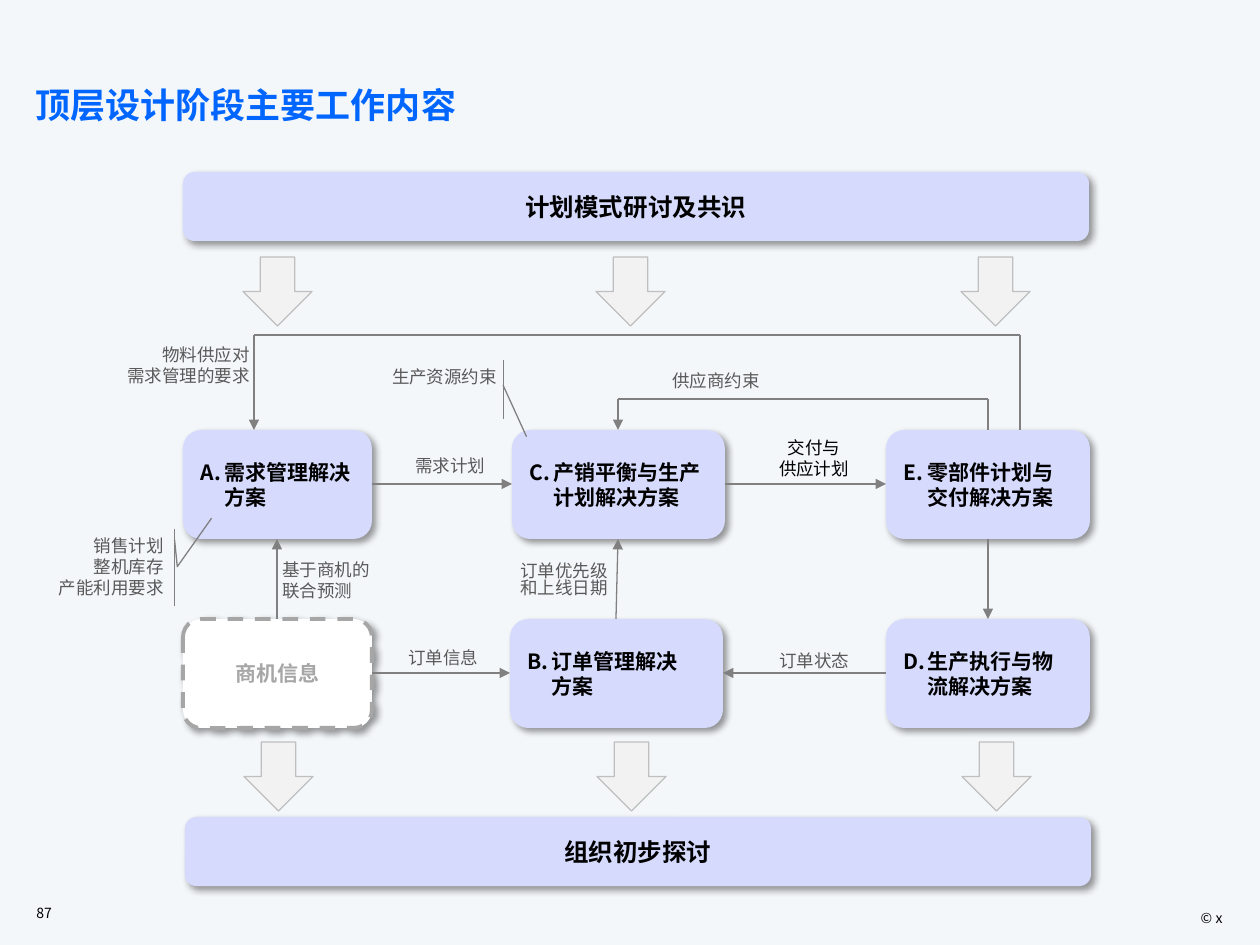
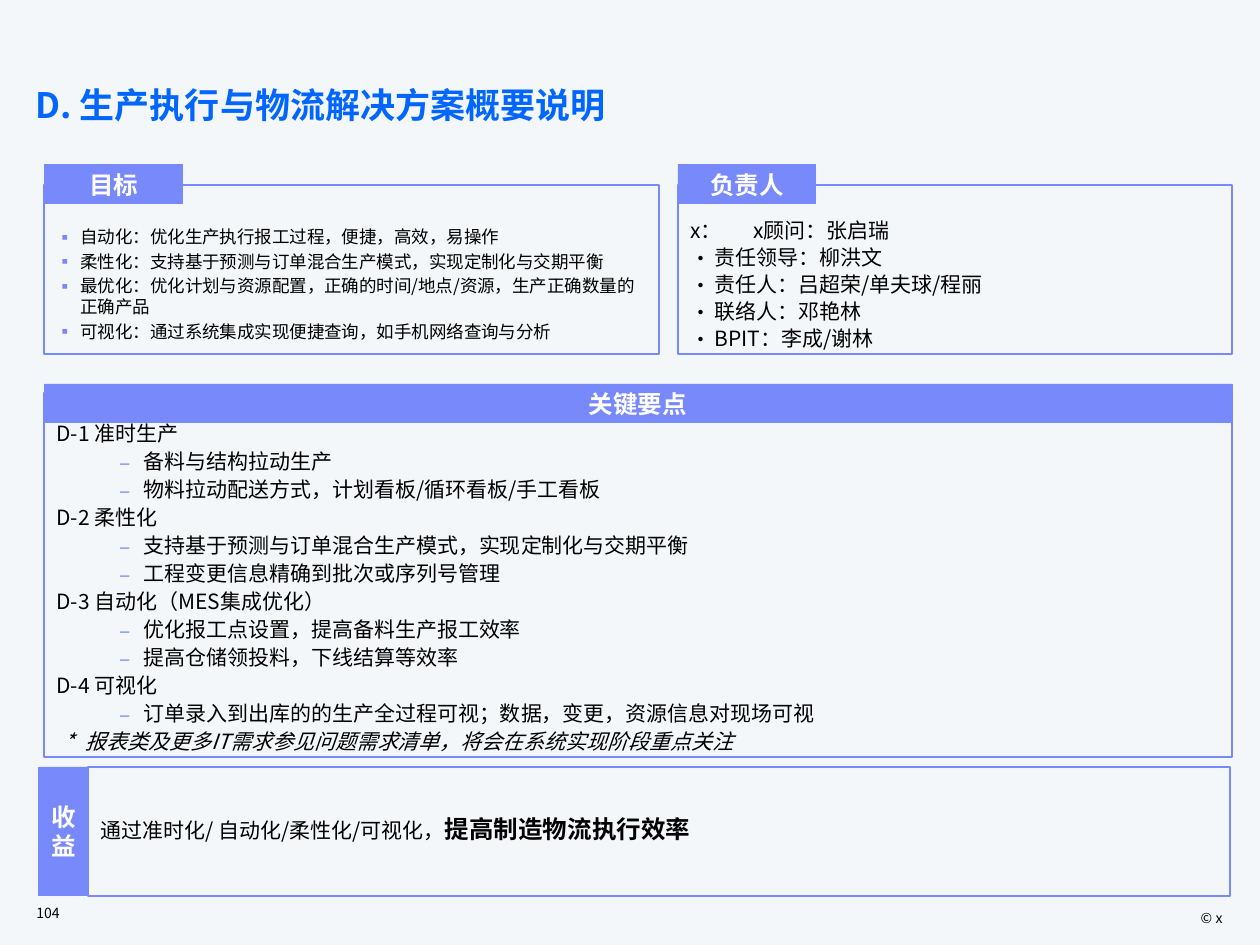
from itertools import pairwise

from lxml import etree
from pptx import Presentation
from pptx.dml.color import RGBColor
from pptx.enum.dml import MSO_LINE
from pptx.enum.shapes import MSO_CONNECTOR, MSO_SHAPE
from pptx.enum.text import MSO_ANCHOR as Anchor, PP_ALIGN as Align
from pptx.oxml.ns import qn
from pptx.util import Pt

PX = 914400 / 126
FONT = "Noto Sans CJK SC"

# Colours
PAGE = RGBColor(0xF4, 0xF7, 0xFA)
TITLE = RGBColor(0x00, 0x66, 0xFF)
BLACK = RGBColor(0x00, 0x00, 0x00)
WHITE = RGBColor(0xFF, 0xFF, 0xFF)
ACCENT = RGBColor(0x78, 0x89, 0xFB)
LAVENDER = RGBColor(0xD6, 0xDB, 0xFE)
LABEL = RGBColor(0x59, 0x59, 0x59)
WIRE = RGBColor(0x80, 0x80, 0x80)
MUTED = RGBColor(0xA6, 0xA6, 0xA6)
ARROW_FILL = RGBColor(0xF2, 0xF2, 0xF2)
ARROW_EDGE = RGBColor(0xBF, 0xBF, 0xBF)

# Text formats
SMALL = {"size": Pt(8)}
NOTE = {"size": Pt(10)}
BODY = {"size": Pt(12)}
BOX = {"size": Pt(12), "bold": True}
HEAD = {"size": Pt(14), "bold": True}
CENTER = {"alignment": Align.CENTER}
RIGHT = {"alignment": Align.RIGHT}


def px(*lengths):
    return [round(length * PX) for length in lengths]


def add_xml(parent, tag, **attributes):
    return etree.SubElement(parent, qn(tag), {k: str(v) for k, v in attributes.items()})


# Text
def style_span(span, look, color):
    for name, value in {"name": FONT, **look}.items():
        setattr(span.font, name, value)
    span.font.color.rgb = color
    add_xml(span.font._element, "a:ea", typeface=FONT)


def add_line(frame, text, look, color=BLACK, layout=None, margin=0, hang=0,
             bullet=None, bullet_color=None, number=None, tab=None):
    first = not frame.text
    para = frame.paragraphs[0] if first else frame.add_paragraph()
    para.text = text
    props = para._p.get_or_add_pPr()
    props.set("marL", str(px(margin)[0]))
    props.set("indent", str(px(-hang)[0]))
    if bullet:
        add_xml(add_xml(props, "a:buClr"), "a:srgbClr", val=bullet_color)
        add_xml(props, "a:buFont", typeface=FONT)
        add_xml(props, "a:buChar", char=bullet)
    if number:
        add_xml(props, "a:buFont", typeface=FONT)
        add_xml(props, "a:buAutoNum", type="alphaUcPeriod", startAt=number)
    if tab:
        add_xml(add_xml(props, "a:tabLst"), "a:tab", pos=px(tab)[0], algn="l")
    for name, value in (layout or {}).items():
        if not (first and name == "space_before"):
            setattr(para, name, value)
    for span in para.runs:
        style_span(span, look, color)
    return para


def add_text(page, place, lines, look, color=BLACK, layout=None, anchor=Anchor.TOP):
    frame = page.shapes.add_textbox(*px(*place)).text_frame
    frame.word_wrap = True
    frame.vertical_anchor = anchor
    for text in lines:
        add_line(frame, text, look, color, layout)


# Shapes
def add_shape(page, kind, place, fill=None, line=None, width=0.75):
    shape = page.shapes.add_shape(kind, *px(*place))
    shape.shadow.inherit = False
    if fill is None:
        shape.fill.background()
    else:
        shape.fill.solid()
        shape.fill.fore_color.rgb = fill
    if line is None:
        shape.line.fill.background()
    else:
        shape.line.color.rgb = line
        shape.line.width = Pt(width)
    shape.text_frame.word_wrap = True
    return shape


def add_card(page, place, text, look=BOX, number=None, muted=False):
    fill, line, color = (WHITE, MUTED, MUTED) if muted else (LAVENDER, None, BLACK)
    card = add_shape(page, MSO_SHAPE.ROUNDED_RECTANGLE, place, fill, line, 2.25)
    if muted:
        card.line.dash_style = MSO_LINE.DASH
    effects = card._element.spPr.find(qn("a:effectLst"))
    shadow = add_xml(effects, "a:outerShdw", blurRad=Pt(4), dist=Pt(3),
                     dir=45 * 60000, algn="tl", rotWithShape=0)
    add_xml(add_xml(shadow, "a:srgbClr", val=BLACK), "a:alpha", val=40000)
    card.text_frame.vertical_anchor = Anchor.MIDDLE
    if number:
        add_line(card.text_frame, text, look, color, {"alignment": Align.LEFT},
                 24, 24, number=number)
    else:
        add_line(card.text_frame, text, look, color, CENTER)


def add_callout(page, place, lines, adjustments):
    callout = add_shape(page, MSO_SHAPE.LINE_CALLOUT_2_ACCENT_BAR, place, line=WIRE)
    for index, value in enumerate(adjustments):
        callout.adjustments[index] = value
    callout.text_frame.vertical_anchor = Anchor.TOP
    for text in lines:
        add_line(callout.text_frame, text, NOTE, LABEL, RIGHT)


def add_route(page, *points):
    """Straight segments through the points, with an arrowhead at the end."""
    for start, end in pairwise(points):
        wire = page.shapes.add_connector(MSO_CONNECTOR.STRAIGHT, *px(*start, *end))
        wire.line.color.rgb = WIRE
        wire.line.width = Pt(0.75)
        add_xml(wire._element.spPr, "a:effectLst")
    add_xml(wire.line._get_or_add_ln(), "a:tailEnd", type="triangle")


def add_header(page, place, text):
    header = add_shape(page, MSO_SHAPE.RECTANGLE, place, ACCENT, ACCENT, 0.5)
    header.text_frame.vertical_anchor = Anchor.MIDDLE
    add_line(header.text_frame, text, HEAD, WHITE, CENTER)


def add_panel(page, place, top):
    frame = add_shape(page, MSO_SHAPE.RECTANGLE, place, line=ACCENT).text_frame
    frame.vertical_anchor = Anchor.TOP
    frame.margin_top = px(top)[0]
    return frame


def add_page(deck, title, number):
    page = deck.slides.add_slide(deck.slide_layouts[6])
    page.background.fill.solid()
    page.background.fill.fore_color.rgb = PAGE
    add_text(page, (1046, 903, 189, 25), ["© x"], SMALL, layout=RIGHT)
    add_text(page, (24, 898, 88, 30), [number], SMALL, anchor=Anchor.MIDDLE)
    add_text(page, (23, 82, 1216, 96), [title], {"size": Pt(20), "bold": True},
             TITLE, {"line_spacing": 0.9})
    return page


# Slide 87: work flow
def build_flow(deck):
    page = add_page(deck, "顶层设计阶段主要工作内容", "87")
    upper, lower, height = 430, 619, 109
    upper_mid, lower_mid, upper_end = 484, 673, upper + height

    # Solution cards
    add_card(page, (183, lower, 189, height), "商机信息", muted=True)
    for number, left, top, width, text in (
        (1, 183, upper, 189, "需求管理解决方案"),
        (2, 510, lower, 213, "订单管理解决\n方案"),
        (3, 512, upper, 213, "产销平衡与生产计划解决方案"),
        (4, 886, lower, 204, "生产执行与物流解决方案"),
        (5, 886, upper, 204, "零部件计划与交付解决方案"),
    ):
        add_card(page, (left, top, width, height), text, number=number)

    # Flows between the cards
    for route in (
        [(372, upper_mid), (512, upper_mid)],
        [(725, upper_mid), (886, upper_mid)],
        [(372, lower_mid), (510, lower_mid)],
        [(886, lower_mid), (723, lower_mid)],
        [(277, lower), (277, upper_end)],
        [(616, lower), (618, upper_end)],
        [(988, upper_end), (988, lower)],
        [(988, upper), (988, 399), (618, 399), (618, upper)],
        [(1020, upper), (1020, 335), (254, 335), (254, upper)],
    ):
        add_route(page, *route)

    # Flow labels
    tight = {"line_spacing": 0.8}
    for place, lines, layout in (
        ((83, 338, 179, 77), ["物料供应对", "需求管理的要求"], RIGHT),
        ((660, 364, 120, 34), ["供应商约束"], None),
        ((394, 449, 112, 34), ["需求计划"], CENTER),
        ((270, 553, 130, 55), ["基于商机的", "联合预测"], None),
        ((508, 558, 134, 47), ["订单优先级", "和上线日期"], tight),
        ((384, 641, 118, 34), ["订单信息"], CENTER),
        ((760, 648, 108, 30), ["订单状态"], {**CENTER, **tight}),
    ):
        add_text(page, place, lines, NOTE, LABEL, layout)
    add_text(page, (759, 431, 110, 55), ["交付与\n供应计划"], NOTE, layout=CENTER)
    add_callout(page, (363, 360, 146, 59), ["生产资源约束"],
                (0.44, 0.96, 0.43, 0.96, 1.3, 1.12))
    add_callout(page, (39, 529, 137, 77), ["销售计划", "整机库存", "产能利用要求"],
                (0.14, 0.99, 0.49, 1.01, -0.14, 1.26))

    # Opening and closing bars with block arrows
    add_card(page, (183, 172, 906, 69), "计划模式研讨及共识", HEAD)
    add_card(page, (185, 817, 906, 69), "组织初步探讨", HEAD)
    for top, shift in ((257, 0), (742, 1)):
        for left in (243, 596, 961):
            add_shape(page, MSO_SHAPE.DOWN_ARROW, (left + shift, top, 69, 69),
                      ARROW_FILL, ARROW_EDGE)


# Slide 104: solution summary
def build_summary(deck):
    page = add_page(deck, "D. 生产执行与物流解决方案概要说明", "104")

    # Goals
    goals = add_panel(page, (44, 185, 615, 169), 41)
    for text in (
        "自动化：优化生产执行报工过程，便捷，高效，易操作",
        "柔性化：支持基于预测与订单混合生产模式，实现定制化与交期平衡",
        "最优化：优化计划与资源配置，正确的时间/地点/资源，生产正确数量的正确产品",
        "可视化：通过系统集成实现便捷查询，如手机网络查询与分析",
    ):
        add_line(goals, text, NOTE, BLACK,
                 {"alignment": Align.LEFT, "space_before": Pt(2)},
                 24, 24, "▪", ACCENT)

    # Owners
    owners = add_panel(page, (678, 185, 554, 169), 35)
    layout = {"alignment": Align.LEFT, "line_spacing": Pt(13), "space_before": Pt(2.4)}
    add_line(owners, "x：\tx顾问：张启瑞", BODY, BLACK, layout, tab=187)
    for text in ("责任领导：柳洪文", "责任人：吕超荣/单夫球/程丽",
                 "联络人：邓艳林", "BPIT：李成/谢林"):
        add_line(owners, text, BODY, BLACK, layout, 24, 24, "•", BLACK)

    # Key points
    points = add_panel(page, (44, 393, 1188, 364), 30)
    layout = {**layout, "space_before": Pt(3)}
    for heading, details in (
        ("D-1 准时生产", ["备料与结构拉动生产",
                      "物料拉动配送方式，计划看板/循环看板/手工看板"]),
        ("D-2 柔性化", ["支持基于预测与订单混合生产模式，实现定制化与交期平衡",
                     "工程变更信息精确到批次或序列号管理"]),
        ("D-3 自动化（MES集成优化）", ["优化报工点设置，提高备料生产报工效率",
                               "提高仓储领投料，下线结算等效率"]),
        ("D-4 可视化", ["订单录入到出库的的生产全过程可视；数据，变更，资源信息对现场可视"]),
    ):
        add_line(points, heading, BODY, BLACK, layout)
        for text in details:
            add_line(points, text, BODY, BLACK, layout, 87, 24, "‒", ACCENT)
    add_line(points, "*\t报表类及更多IT需求参见问题需求清单，将会在系统实现阶段重点关注",
             {**BODY, "italic": True}, BLACK, layout, 29, 21)

    # Benefit
    benefit = add_panel(page, (88, 767, 1142, 129), 44)
    para = add_line(benefit, "通过准时化/ 自动化/柔性化/可视化，", BODY, BLACK,
                    {"alignment": Align.LEFT, "line_spacing": 1.1})
    span = para.add_run()
    span.text = "提高制造物流执行效率"
    style_span(span, HEAD, BLACK)

    # Panel headers
    for place, text in (
        ((39, 767, 49, 129), "收益"),
        ((45, 165, 138, 39), "目标"),
        ((678, 165, 138, 39), "负责人"),
        ((44, 384, 1188, 39), "关键要点"),
    ):
        add_header(page, place, text)


def main():
    deck = Presentation()
    deck.slide_width, deck.slide_height = px(1260, 945)
    build_flow(deck)
    build_summary(deck)
    deck.save("out.pptx")


if __name__ == "__main__":
    main()
